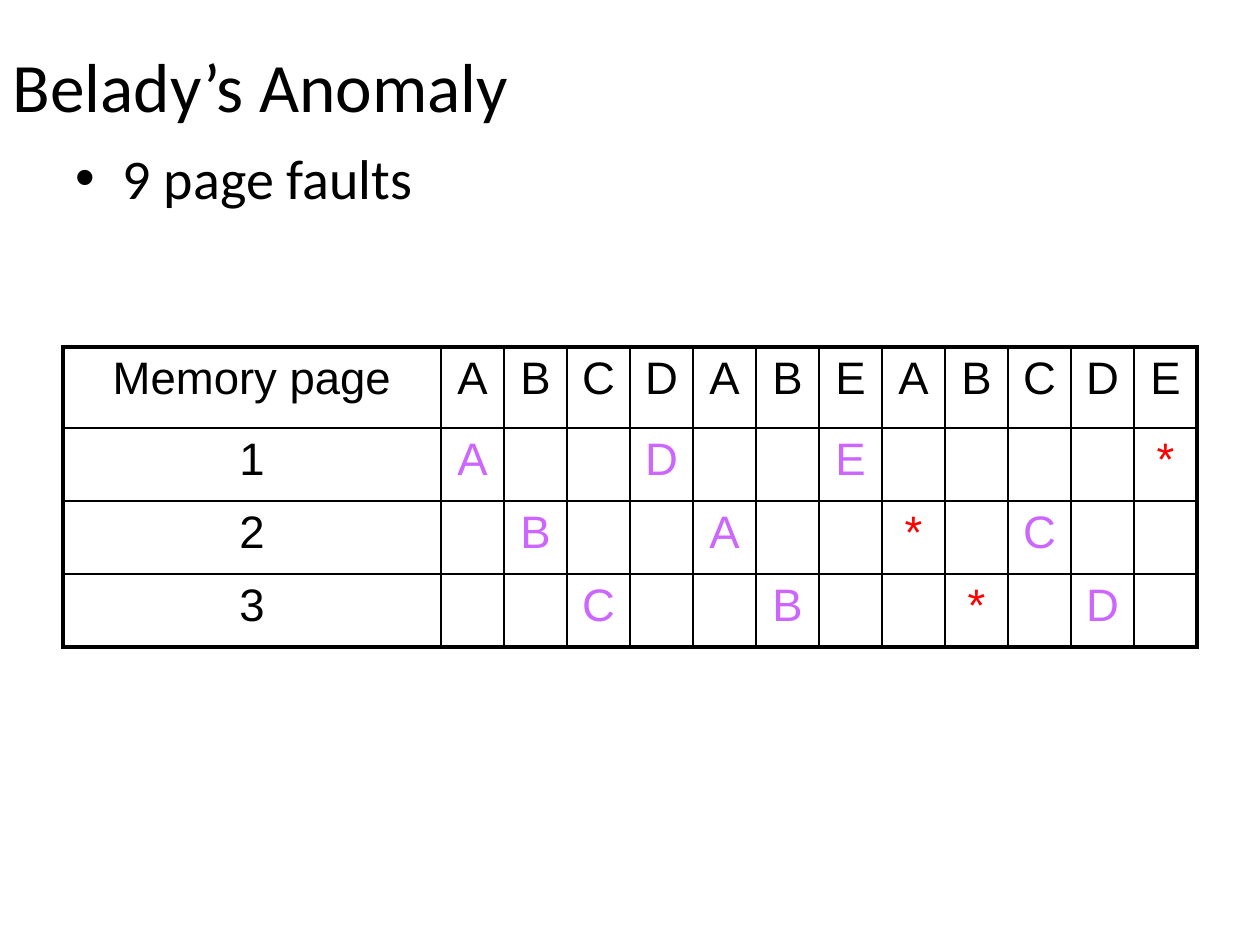
from dataclasses import dataclass

from lxml.etree import SubElement
from pptx import Presentation
from pptx.dml.color import RGBColor
from pptx.enum.text import MSO_ANCHOR, PP_ALIGN
from pptx.oxml.ns import qn
from pptx.util import Emu, Pt

EMU_PER_PX = 914400 / 126
BLACK, VIOLET, RED = "000000", "CC66FF", "FF0000"
REFERENCES = "ABCDABEABCDE"
FRAMES = ["A  D  E    *", " B  A  * C  ", "  C  B  * D "]
COLUMN_WIDTHS = [378] + [63] * len(REFERENCES)
ROW_HEIGHTS = [81] + [73] * len(FRAMES)
THIN, THICK = 1, 2.25


@dataclass(frozen=True)
class Box:
    """A rectangle in px."""

    left: int
    top: int
    width: int
    height: int


def px(length: int) -> Emu:
    """Turn px into EMU."""
    return Emu(round(length * EMU_PER_PX))


def color(hex_string: str) -> RGBColor:
    """Turn a hex string into a colour."""
    return RGBColor.from_string(hex_string)


def style_paragraph(paragraph, font_name: str, size: float, hex_string: str, alignment) -> None:
    """Set the font and alignment of a paragraph."""
    paragraph.alignment = alignment
    paragraph.font.name = font_name
    paragraph.font.size = Pt(size)
    paragraph.font.color.rgb = color(hex_string)


def fill_placeholder(shape, box: Box, text: str, size: float, anchor) -> None:
    """Move a placeholder and write its text."""
    shape.left, shape.top = px(box.left), px(box.top)
    shape.width, shape.height = px(box.width), px(box.height)
    shape.text_frame.text = text
    shape.text_frame.vertical_anchor = anchor
    style_paragraph(shape.text_frame.paragraphs[0], "Calibri", size, BLACK, PP_ALIGN.LEFT)


def add_borders(cell, thick_sides: dict[str, bool]) -> None:
    """Draw the four borders of a cell, thick on the outer sides."""
    properties = cell._tc.get_or_add_tcPr()
    for side, is_thick in thick_sides.items():
        width = Pt(THICK if is_thick else THIN)
        line = SubElement(properties, qn(f"a:ln{side}"), w=str(width))
        fill = SubElement(line, qn("a:solidFill"))
        SubElement(fill, qn("a:srgbClr"), val=BLACK)


def text_color(text: str, is_header: bool) -> str:
    """Choose black for headers, red for hits and violet for faults."""
    if is_header:
        return BLACK
    return RED if text == "*" else VIOLET


def add_memory_table(slide, box: Box) -> None:
    """Add the table of page references and memory frames."""
    rows = [["Memory page", *REFERENCES]]
    rows += [[str(number), *frame] for number, frame in enumerate(FRAMES, 1)]
    last_row, last_column = len(rows) - 1, len(REFERENCES)
    table = slide.shapes.add_table(
        len(rows), last_column + 1, px(box.left), px(box.top), px(box.width), px(box.height)
    ).table
    table.first_row = table.horz_banding = False
    for column, width in zip(table.columns, COLUMN_WIDTHS):
        column.width = px(width)
    for row, height in zip(table.rows, ROW_HEIGHTS):
        row.height = px(height)
    for row_index, row in enumerate(rows):
        for column_index, text in enumerate(row):
            cell = table.cell(row_index, column_index)
            cell.text = text.strip()
            is_header = row_index == 0 or column_index == 0
            paragraph = cell.text_frame.paragraphs[0]
            style_paragraph(paragraph, "Arial", 26, text_color(text, is_header), PP_ALIGN.CENTER)
            add_borders(cell, {
                "L": column_index == 0,
                "R": column_index == last_column,
                "T": row_index == 0,
                "B": row_index == last_row,
            })
            cell.fill.background()


def main() -> None:
    """Build and save the slide."""
    presentation = Presentation()
    presentation.slide_width, presentation.slide_height = px(1260), px(945)
    slide = presentation.slides.add_slide(presentation.slide_layouts[1])
    title, body = slide.placeholders
    fill_placeholder(title, Box(0, 39, 1134, 91), "Belady’s Anomaly", 39.6, MSO_ANCHOR.MIDDLE)
    add_memory_table(slide, Box(63, 347, sum(COLUMN_WIDTHS), sum(ROW_HEIGHTS)))
    fill_placeholder(body, Box(63, 137, 1197, 707), "9 page faults", 32, MSO_ANCHOR.TOP)
    presentation.save("out.pptx")


if __name__ == "__main__":
    main()
